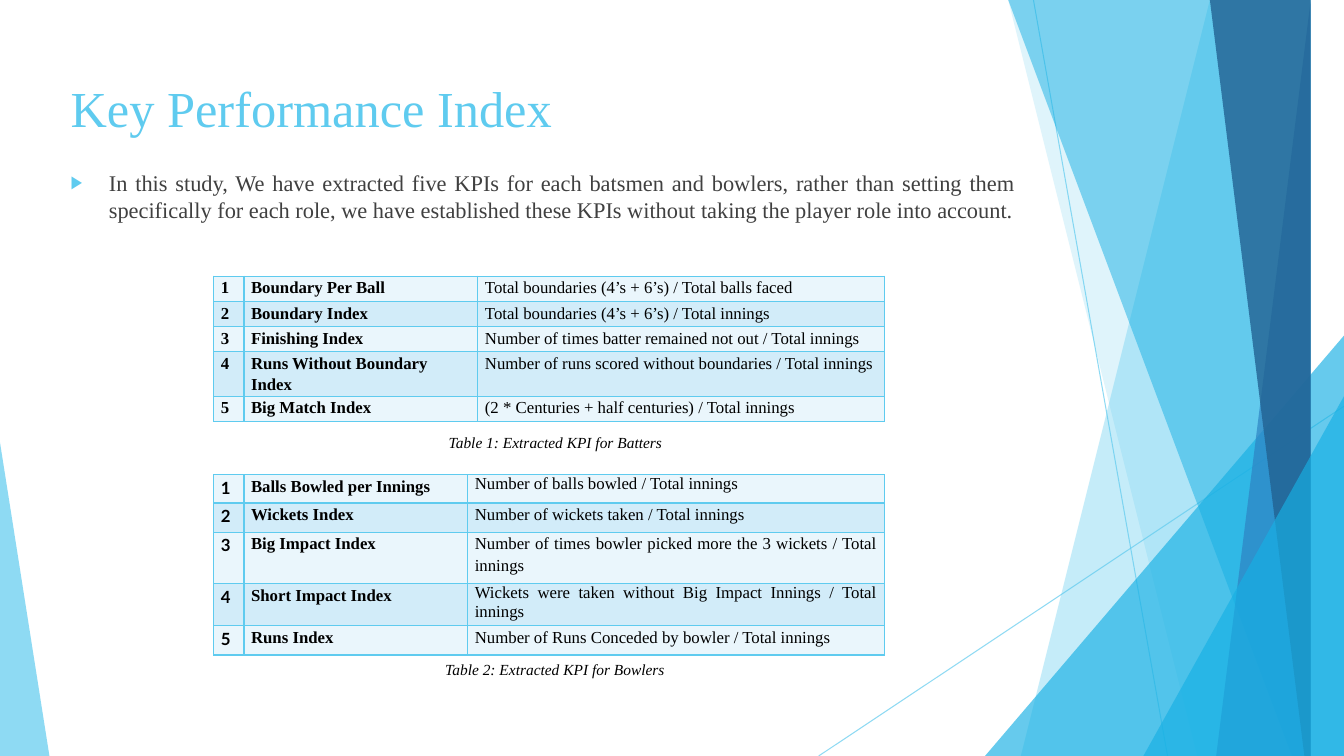
from pptx import Presentation
from pptx.dml.color import RGBColor
from pptx.enum.shapes import MSO_CONNECTOR, MSO_SHAPE
from pptx.enum.text import MSO_ANCHOR, MSO_AUTO_SIZE, PP_ALIGN
from pptx.oxml import parse_xml
from pptx.oxml.ns import nsdecls, qn
from pptx.util import Inches, Pt
from lxml.etree import SubElement

SKY, CYAN, BLUE, NAVY = "5FCBEF", "17B0E4", "2E83C3", "226292"
INK, GREY = "000000", "404040"
BANDS = ["EAF6FC", "D2ECF9"]
WIDE, HIGH = 13.33, 7.5


def color(code):
    return RGBColor.from_string(code)


def fade(fill, share):
    tone = fill._xPr.find(qn("a:solidFill"))[0]
    SubElement(tone, qn("a:alpha"), val=str(share * 1000))


class Page:
    serif = "Times New Roman"

    def __init__(self, deck):
        self.slide = deck.slides.add_slide(deck.slide_layouts[1])
        self.shapes = self.slide.shapes

    def paint(self, shape, code, share):
        shape.shadow.inherit = False
        shape.fill.solid()
        shape.fill.fore_color.rgb = color(code)
        fade(shape.fill, share)
        shape.line.fill.background()

    def line(self, *ends):
        line = self.shapes.add_connector(
            MSO_CONNECTOR.STRAIGHT, *[Inches(v) for v in ends])
        line.line.width = Pt(0.75)
        line.line.color.rgb = color(SKY)
        fade(line.line.fill, 70)
        SubElement(line._element.spPr, qn("a:effectLst"))

    def shard(self, top, foot, code, share):
        """Fill from a slanted edge to the right side of the slide."""
        pen = self.shapes.build_freeform(top, 0, scale=Inches(1))
        pen.add_line_segments([(WIDE, 0), (WIDE, HIGH), (foot, HIGH)])
        self.paint(pen.convert_to_shape(), code, share)

    def wedge(self, left, top, width, tip, code, share):
        shape = self.shapes.add_shape(
            MSO_SHAPE.ISOSCELES_TRIANGLE, Inches(left), Inches(top),
            Inches(width), Inches(HIGH - top))
        shape.adjustments[0] = tip
        self.paint(shape, code, share)

    def words(self, para, text, size, code, face=serif, bold=False,
              slant=False, align=PP_ALIGN.LEFT):
        para.text = text
        para.alignment = align
        font = para.font
        font.name, font.size = face, Pt(size)
        font.bold, font.italic = bold, slant
        font.color.rgb = color(code)

    def place(self, shape, left, top, width, height):
        shape.left, shape.top = Inches(left), Inches(top)
        shape.width, shape.height = Inches(width), Inches(height)

    def title(self, text, *box):
        shape = self.shapes.title
        self.place(shape, *box)
        shape.text_frame.vertical_anchor = MSO_ANCHOR.MIDDLE
        self.words(shape.text_frame.paragraphs[0], text, 36, SKY)

    def body(self, text, *box):
        shape = self.slide.placeholders[1]
        self.place(shape, *box)
        shape.text_frame.vertical_anchor = MSO_ANCHOR.TOP
        para = shape.text_frame.paragraphs[0]
        para.space_before = Pt(0)
        props = para._p.get_or_add_pPr()
        props.set("marL", str(Inches(0.38)))
        props.set("indent", str(-Inches(0.38)))
        tint = SubElement(props, qn("a:buClr"))
        SubElement(tint, qn("a:srgbClr"), val=SKY)
        SubElement(props, qn("a:buSzPct"), val="80000")
        SubElement(props, qn("a:buChar"), char="▶")
        self.words(para, text, 16, GREY, align=PP_ALIGN.JUSTIFY)

    def cell(self, cell, text, band, loose=True, **style):
        cell.margin_left = cell.margin_right = Inches(0.07)
        cell.margin_top = cell.margin_bottom = 0
        props = cell._tc.get_or_add_tcPr()
        for side in "LRTB":
            props.append(parse_xml(
                f'<a:ln{side} {nsdecls("a")} w="12700"><a:solidFill>'
                f'<a:srgbClr val="{SKY}"/></a:solidFill></a:ln{side}>'))
        cell.fill.solid()
        cell.fill.fore_color.rgb = color(band)
        para = cell.text_frame.paragraphs[0]
        if loose:
            para.line_spacing = 1.15
        self.words(para, text, 12, INK, **style)

    def table(self, top, cols, rows, data, face=serif, tight=()):
        """Number the rows; those listed in tight have single spacing."""
        grid = self.shapes.add_table(
            len(rows), len(cols), Inches(2.12), Inches(top),
            Inches(sum(cols)), Inches(sum(rows))).table
        grid.first_row = grid.horz_banding = False
        for col, width in zip(grid.columns, cols):
            col.width = Inches(width)
        for i, (name, rule) in enumerate(data):
            grid.rows[i].height = Inches(rows[i])
            band = BANDS[i % 2]
            self.cell(grid.cell(i, 0), str(i + 1), band, face=face, bold=True)
            self.cell(grid.cell(i, 1), name, band, bold=True)
            self.cell(grid.cell(i, 2), rule, band, loose=i not in tight,
                      align=PP_ALIGN.JUSTIFY)

    def label(self, text, left, top, width):
        box = self.shapes.add_textbox(
            Inches(left), Inches(top), Inches(width), Inches(0.29))
        frame = box.text_frame
        frame.word_wrap = True
        frame.auto_size = MSO_AUTO_SIZE.SHAPE_TO_FIT_TEXT
        self.words(frame.paragraphs[0], text, 11, INK, slant=True,
                   align=PP_ALIGN.CENTER)


def main():
    deck = Presentation()
    deck.slide_width, deck.slide_height = Inches(WIDE), Inches(HIGH)
    page = Page(deck)

    # Slanted backdrop
    page.line(10.25, 0, 11.58, HIGH)
    page.line(WIDE, 4.03, 8.12, HIGH)
    page.shard(12.28, 10.04, SKY, 36)
    page.shard(10.5, 11.83, SKY, 20)
    page.wedge(9.77, 3.33, 3.56, 1, CYAN, 66)
    page.shard(10.21, 12.91, CYAN, 50)
    page.shard(13.03, 11.92, BLUE, 70)
    page.shard(11.96, 13.18, NAVY, 80)
    page.wedge(11.34, 3.93, 1.99, 1, CYAN, 66)
    page.wedge(0, 4.39, 0.49, 0, SKY, 70)

    # Heading and lead
    page.title("Key Performance Index", 0.6, 0.67, 9.54, 0.79)
    page.body("In this study, We have extracted five KPIs for each batsmen "
              "and bowlers, rather than setting them specifically for each "
              "role, we have established these KPIs without taking the "
              "player role into account.", 0.6, 1.63, 9.57, 5.77)

    # Batters
    page.table(2.74, [0.3, 2.32, 4.03], [0.25, 0.25, 0.25, 0.44, 0.25], [
        ("Boundary Per Ball",
         "Total boundaries (4’s + 6’s) / Total balls faced"),
        ("Boundary Index", "Total boundaries (4’s + 6’s) / Total innings"),
        ("Finishing Index",
         "Number of times batter remained not out / Total innings"),
        ("Runs Without Boundary Index",
         "Number of runs scored without boundaries / Total innings"),
        ("Big Match Index",
         "(2 * Centuries + half centuries) / Total innings")])
    page.label("Table 1: Extracted KPI for Batters", 3.46, 4.25, 4.1)

    # Bowlers
    page.table(4.71, [0.3, 2.22, 4.13], [0.28, 0.29, 0.51, 0.42, 0.29], [
        ("Balls Bowled per Innings", "Number of balls bowled / Total innings"),
        ("Wickets Index", "Number of wickets taken / Total innings"),
        ("Big Impact Index",
         "Number of times bowler picked more the 3 wickets / Total innings"),
        ("Short Impact Index",
         "Wickets were taken without Big Impact Innings / Total innings"),
        ("Runs Index", "Number of Runs Conceded by bowler / Total innings"),
    ], face="Lato", tight=(0, 3))
    page.label("Table 2: Extracted KPI for Bowlers", 2.81, 6.5, 5.39)

    deck.save("out.pptx")


if __name__ == "__main__":
    main()
